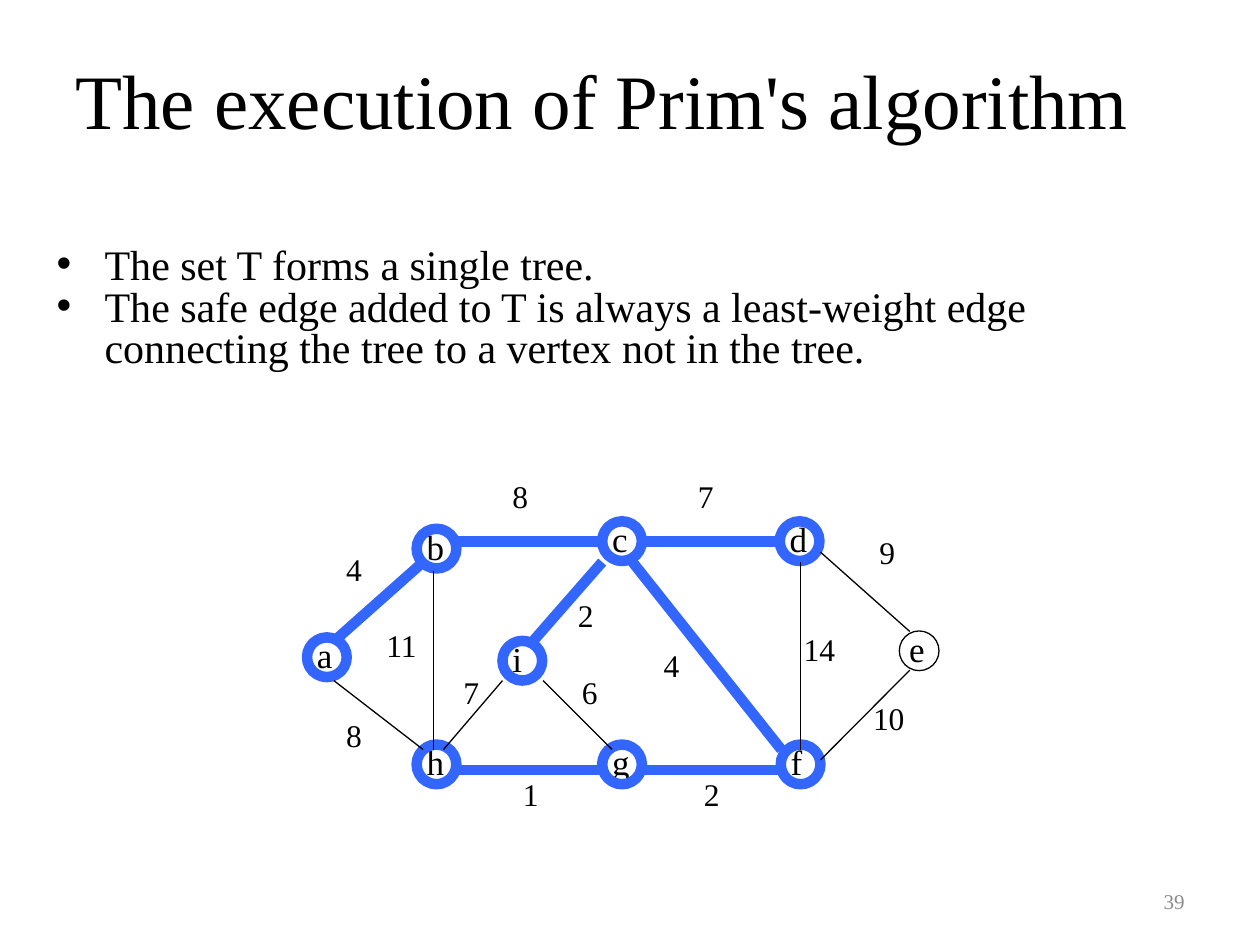
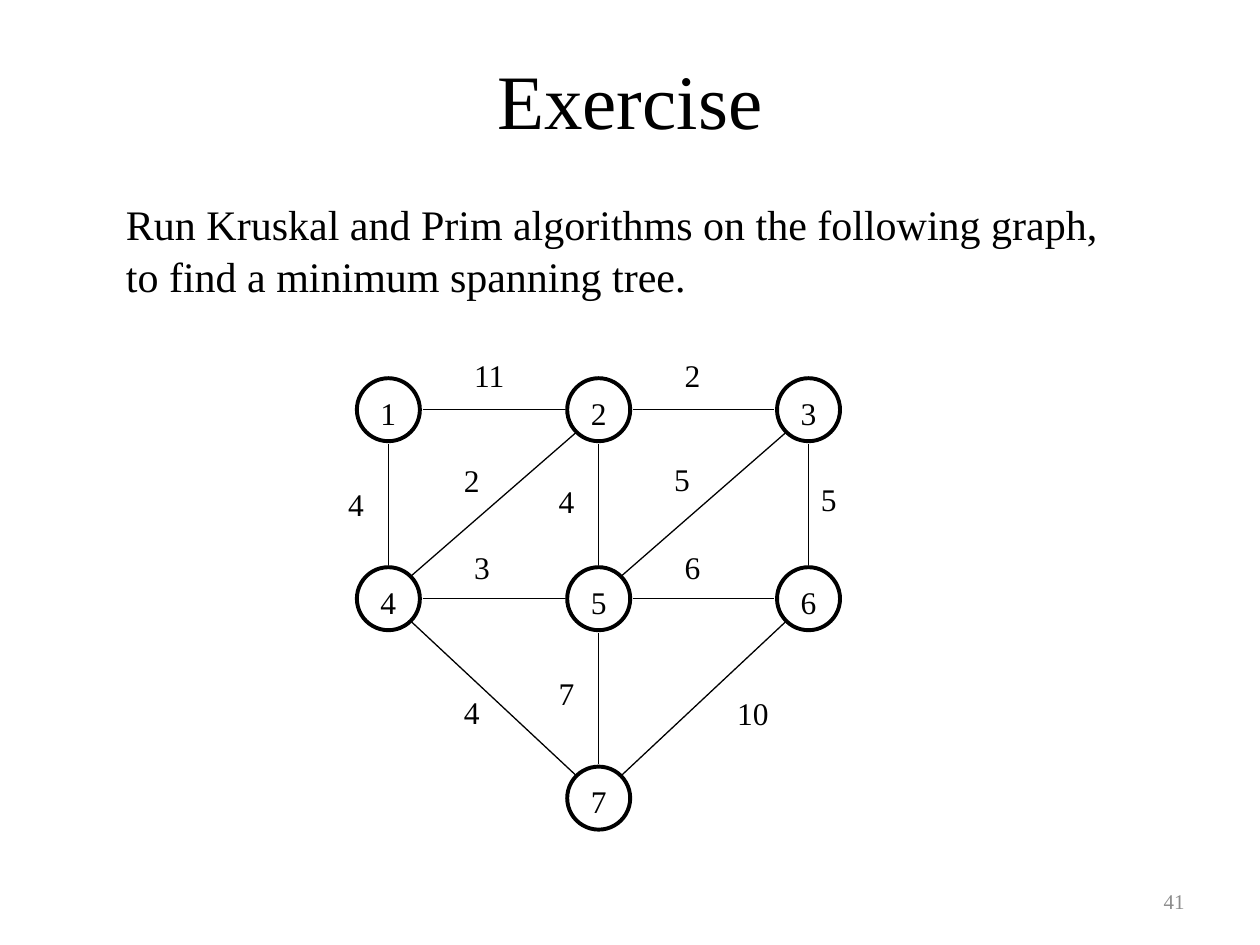
from dataclasses import dataclass

from lxml import etree
from pptx import Presentation
from pptx.dml.color import RGBColor
from pptx.enum import shapes, text
from pptx.oxml import ns
from pptx.util import Cm, Pt


@dataclass(frozen=True)
class Theme:
    font: str = "Times New Roman"
    ink: RGBColor = RGBColor(0, 0, 0)
    tree: RGBColor = RGBColor(0x33, 0x66, 0xFF)
    muted: RGBColor = RGBColor(0x8C, 0x8C, 0x8C)
    title: int = 44
    body: int = 24
    vertex: int = 20
    label: int = 18
    number: int = 12
    thin: float = 0.75
    ring: float = 2.25
    thick: float = 6


theme = Theme()
alignment = text.PP_ALIGN


def add_text(slide, box, lines, size, color=theme.ink, align=alignment.LEFT):
    shape = slide.shapes.add_textbox(*(Cm(length) for length in box))
    frame = shape.text_frame
    frame.word_wrap = True
    frame.text = lines
    for paragraph in frame.paragraphs:
        paragraph.alignment = align
        for run in paragraph.runs:
            run.font.name = theme.font
            run.font.size = Pt(size)
            run.font.color.rgb = color
    return shape


def add_edge(slide, ends, color=theme.ink, width=theme.thin):
    edge = slide.shapes.add_connector(
        shapes.MSO_CONNECTOR.STRAIGHT, *(Cm(length) for length in ends))
    edge.line.color.rgb = color
    edge.line.width = Pt(width)
    etree.SubElement(edge._element.spPr, ns.qn("a:effectLst"))


presentation = Presentation()
presentation.slide_width = Cm(25.4)
presentation.slide_height = Cm(19.05)

slides = []
for title, number, align in [
    ("The execution of Prim's algorithm", "39", alignment.LEFT),
    ("Exercise", "41", alignment.CENTER),
]:
    slide = presentation.slides.add_slide(presentation.slide_layouts[6])
    add_text(slide, (1.27, 0.93, 22.86, 3.0), title, theme.title, align=align)
    page = add_text(slide, (18.2, 17.65, 5.93, 1.02), number, theme.number,
                    theme.muted, alignment.RIGHT)
    page.text_frame.vertical_anchor = text.MSO_ANCHOR.MIDDLE
    slides.append(slide)
prim, exercise = slides

facts = add_text(
    prim, (0.89, 4.85, 23.57, 2.72),
    "The set T forms a single tree.\n"
    "The safe edge added to T is always a least-weight edge "
    "connecting the tree to a vertex not in the tree.",
    theme.body)
for paragraph in facts.text_frame.paragraphs:
    paragraph.line_spacing = 0.83
    properties = paragraph._p.get_or_add_pPr()
    properties.set("marL", str(Cm(0.97)))
    properties.set("indent", str(-Cm(0.97)))
    etree.SubElement(properties, ns.qn("a:buFont"), typeface="Arial")
    etree.SubElement(properties, ns.qn("a:buChar"), char="•")

vertex_size = 0.8
vertices = {
    "a": (6.59, 13.25), "b": (8.8, 11.06), "h": (8.8, 15.41),
    "c": (12.54, 10.91), "d": (16.12, 10.91), "e": (18.53, 13.12),
    "f": (16.14, 15.41), "g": (12.54, 15.41), "i": (10.53, 13.32),
}
for name, (x, y) in vertices.items():
    add_text(prim, (x - 0.45, y - 0.6, 0.88, 1.09), name, theme.vertex)
    vertex = prim.shapes.add_shape(
        shapes.MSO_SHAPE.OVAL, Cm(x - vertex_size / 2), Cm(y - vertex_size / 2),
        Cm(vertex_size), Cm(vertex_size))
    vertex.shadow.inherit = False
    vertex.fill.background()
    outside = name == "e"
    vertex.line.color.rgb = theme.ink if outside else theme.tree
    vertex.line.width = Pt(theme.thin if outside else theme.thick)

tree_edges = [
    (6.73, 12.93, 8.53, 11.33), (9.14, 10.92, 12.14, 10.92),
    (9.14, 15.52, 12.14, 15.52), (12.95, 15.52, 15.75, 15.52),
    (12.75, 11.33, 15.75, 15.11), (12.95, 10.92, 15.75, 10.92),
    (10.74, 12.93, 12.14, 11.33),
]
other_edges = [
    (6.73, 13.72, 8.53, 15.11), (8.74, 11.51, 8.74, 15.11),
    (16.13, 11.33, 16.13, 15.11), (16.54, 11.13, 18.34, 12.73),
    (16.54, 15.32, 18.34, 13.51), (10.95, 13.72, 12.34, 15.11),
    (8.94, 15.11, 10.13, 13.72),
]
for ends in tree_edges:
    add_edge(prim, ends, theme.tree, theme.thick)
for ends in other_edges:
    add_edge(prim, ends)

prim_weights = [
    ("4", 6.73, 10.97), ("8", 10.08, 9.5), ("7", 13.82, 9.5),
    ("9", 17.48, 10.62), ("10", 17.35, 13.97), ("14", 15.95, 12.57),
    ("4", 13.13, 12.9), ("2", 11.4, 11.89), ("2", 13.94, 15.49),
    ("6", 11.48, 13.44), ("1", 10.29, 15.49), ("7", 9.09, 13.44),
    ("11", 7.54, 12.5), ("8", 6.73, 14.3),
]
exercise_weights = [
    ("11", 9.31, 7.06), ("2", 13.55, 7.06), ("3", 9.31, 10.92),
    ("6", 13.55, 10.92), ("4", 6.77, 9.65), ("2", 9.1, 9.17),
    ("4", 11.01, 9.6), ("5", 13.34, 9.14), ("5", 16.3, 9.55),
    ("7", 11.01, 13.46), ("10", 14.61, 13.87), ("4", 9.1, 13.84),
]
for slide, weights in [(prim, prim_weights), (exercise, exercise_weights)]:
    for weight, x, y in weights:
        add_text(slide, (x, y, 1.27, 1.02), weight, theme.label)

columns = [7.83, 12.07, 16.3]
rows = [8.26, 12.07, 16.09]
centers = [(x, y) for y in rows[:2] for x in columns] + [(columns[1], rows[2])]
node_size = 1.27
for number, (x, y) in enumerate(centers, start=1):
    node = exercise.shapes.add_shape(
        shapes.MSO_SHAPE.OVAL, Cm(x - node_size / 2), Cm(y - node_size / 2),
        Cm(node_size), Cm(node_size))
    node.shadow.inherit = False
    node.fill.background()
    node.line.color.rgb = theme.ink
    node.line.width = Pt(theme.ring)
    frame = node.text_frame
    frame.text = str(number)
    frame.word_wrap = False
    frame.vertical_anchor = text.MSO_ANCHOR.MIDDLE
    frame.margin_left = frame.margin_right = frame.margin_bottom = 0
    frame.margin_top = Cm(0.12)
    paragraph = frame.paragraphs[0]
    paragraph.alignment = alignment.CENTER
    font = paragraph.runs[0].font
    font.name = theme.font
    font.size = Pt(theme.label)
    font.color.rgb = theme.ink

straight_reach, diagonal_reach = 0.69, 0.47
for start, end in [(1, 2), (2, 3), (4, 5), (5, 6), (1, 4), (4, 2),
                   (2, 5), (5, 3), (3, 6), (4, 7), (5, 7), (6, 7)]:
    (x1, y1), (x2, y2) = centers[start - 1], centers[end - 1]
    across = (x2 > x1) - (x2 < x1)
    down = (y2 > y1) - (y2 < y1)
    reach = diagonal_reach if across and down else straight_reach
    add_edge(exercise, (x1 + across * reach, y1 + down * reach,
                        x2 - across * reach, y2 - down * reach))

task = add_text(
    exercise, (2.29, 3.84, 20.85, 2.31),
    "Run Kruskal and Prim algorithms on the following graph, "
    "to find a minimum spanning tree.",
    theme.body)
task.text_frame.paragraphs[0].line_spacing = 1.03

presentation.save("out.pptx")
